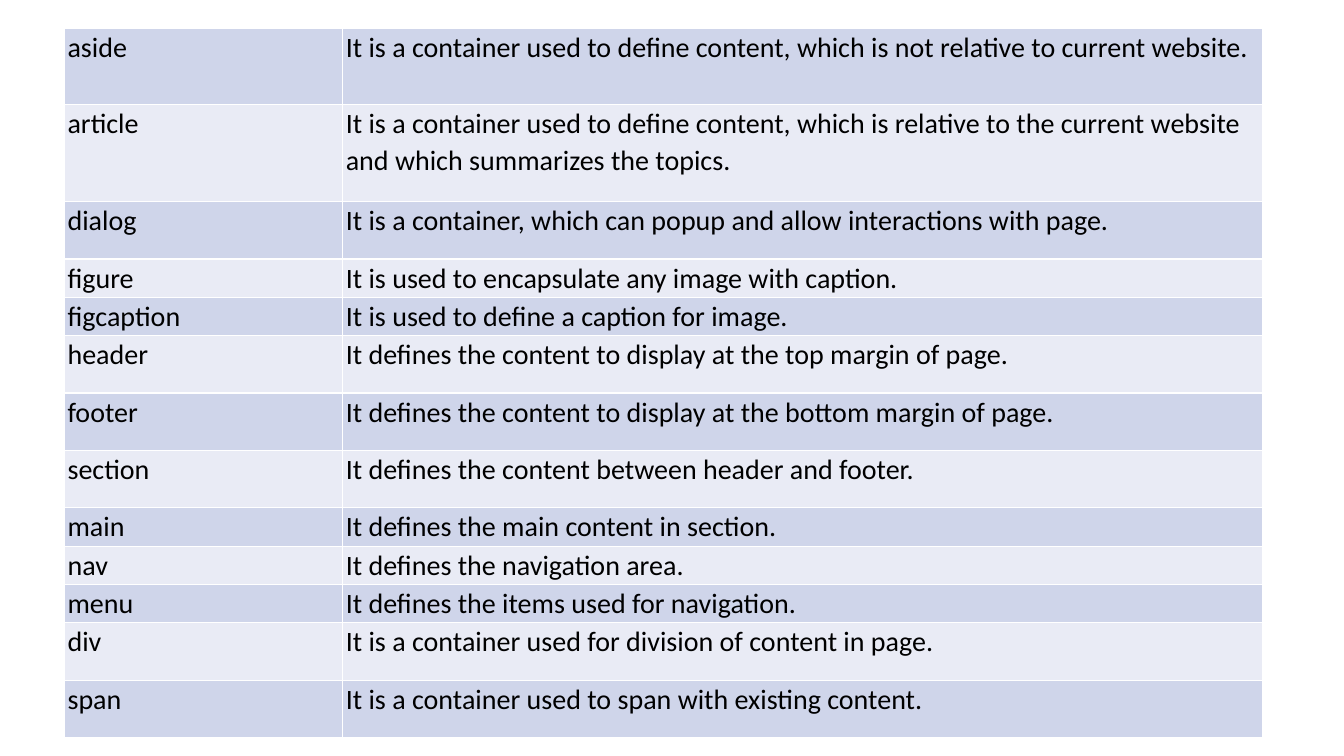
import dataclasses

import lxml.etree
import pptx
import pptx.dml.color
import pptx.oxml.ns
import pptx.util

Inches = pptx.util.Inches


@dataclasses.dataclass(frozen=True)
class Theme:
    """Colours, type and spacing of the deck."""
    font: str = "Calibri"
    text_size: int = 20
    text: str = "000000"
    bands: tuple = ("CFD5EA", "E9EBF5")
    border: str = "FFFFFF"
    border_width: int = 1
    line_spacing: float = 1.07
    space_after: int = 8
    side_margin: float = 0.03


THEME = Theme()
SHORT, MEDIUM, TALL, TALLEST = 0.38, 0.57, 0.76, 0.96
NAME_SHARE = 0.2325

TAGS = [
    ("aside", "It is a container used to define content, which is not relative to current website.", TALL),
    ("article", "It is a container used to define content, which is relative to the current website "
                "and which summarizes the topics.", TALLEST),
    ("dialog", "It is a container, which can popup and allow interactions with page.", MEDIUM),
    ("figure", "It is used to encapsulate any image with caption.", SHORT),
    ("figcaption", "It is used to define a caption for image.", SHORT),
    ("header", "It defines the content to display at the top margin of page.", MEDIUM),
    ("footer", "It defines the content to display at the bottom margin of page.", MEDIUM),
    ("section", "It defines the content between header and footer.", MEDIUM),
    ("main", "It defines the main content in section.", SHORT),
    ("nav", "It defines the navigation area.", SHORT),
    ("menu", "It defines the items used for navigation.", SHORT),
    ("div", "It is a container used for division of content in page.", MEDIUM),
    ("span", "It is a container used to span with existing content.", MEDIUM),
]


def rgb(value):
    """Return the colour for a hex value."""
    return pptx.dml.color.RGBColor.from_string(value)


def add_borders(cell):
    """Draw a solid line on all four sides of a cell."""
    qn = pptx.oxml.ns.qn
    properties = cell._tc.get_or_add_tcPr()
    for side in ("a:lnL", "a:lnR", "a:lnT", "a:lnB"):
        line = lxml.etree.SubElement(properties, qn(side), w=str(pptx.util.Pt(THEME.border_width)))
        fill = lxml.etree.SubElement(line, qn("a:solidFill"))
        lxml.etree.SubElement(fill, qn("a:srgbClr"), val=THEME.border)


def fill_cell(cell, text, band):
    """Write and format one table cell."""
    add_borders(cell)
    cell.fill.solid()
    cell.fill.fore_color.rgb = rgb(band)
    cell.margin_left = cell.margin_right = Inches(THEME.side_margin)
    cell.margin_top = cell.margin_bottom = 0
    para = cell.text_frame.paragraphs[0]
    para.line_spacing = THEME.line_spacing
    para.space_after = pptx.util.Pt(THEME.space_after)
    span = para.add_run()
    span.text = text
    span.font.name = THEME.font
    span.font.size = pptx.util.Pt(THEME.text_size)
    span.font.color.rgb = rgb(THEME.text)


def add_tag_table(page, left, top, width):
    """Place the table of tags and their meanings."""
    height = sum(row_height for _, _, row_height in TAGS)
    frame = page.shapes.add_table(len(TAGS), 2, Inches(left), Inches(top), Inches(width), Inches(height))
    table = frame.table
    table.first_row = False
    name_width = round(width * NAME_SHARE, 2)
    table.columns[0].width = Inches(name_width)
    table.columns[1].width = Inches(width - name_width)
    for index, (name, meaning, row_height) in enumerate(TAGS):
        table.rows[index].height = Inches(row_height)
        band = THEME.bands[index % len(THEME.bands)]
        for column, text in enumerate((name, meaning)):
            fill_cell(table.cell(index, column), text, band)


def main():
    """Build and save the deck."""
    deck = pptx.Presentation()
    deck.slide_width, deck.slide_height = Inches(13.33), Inches(7.5)
    page = deck.slides.add_slide(deck.slide_layouts.get_by_name("Blank"))
    add_tag_table(page, 0.64, 0.28, 11.88)
    deck.save("out.pptx")


main()
